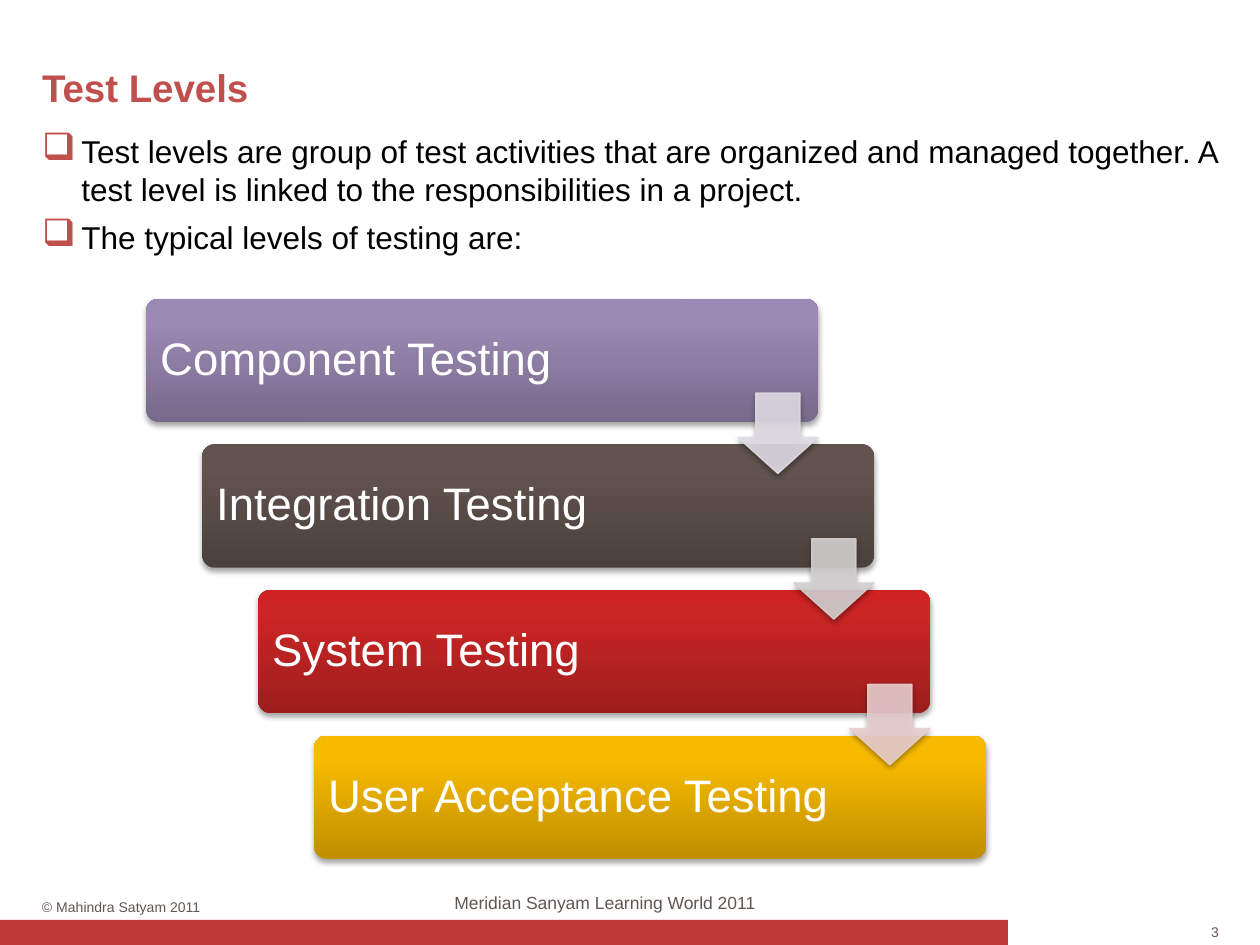
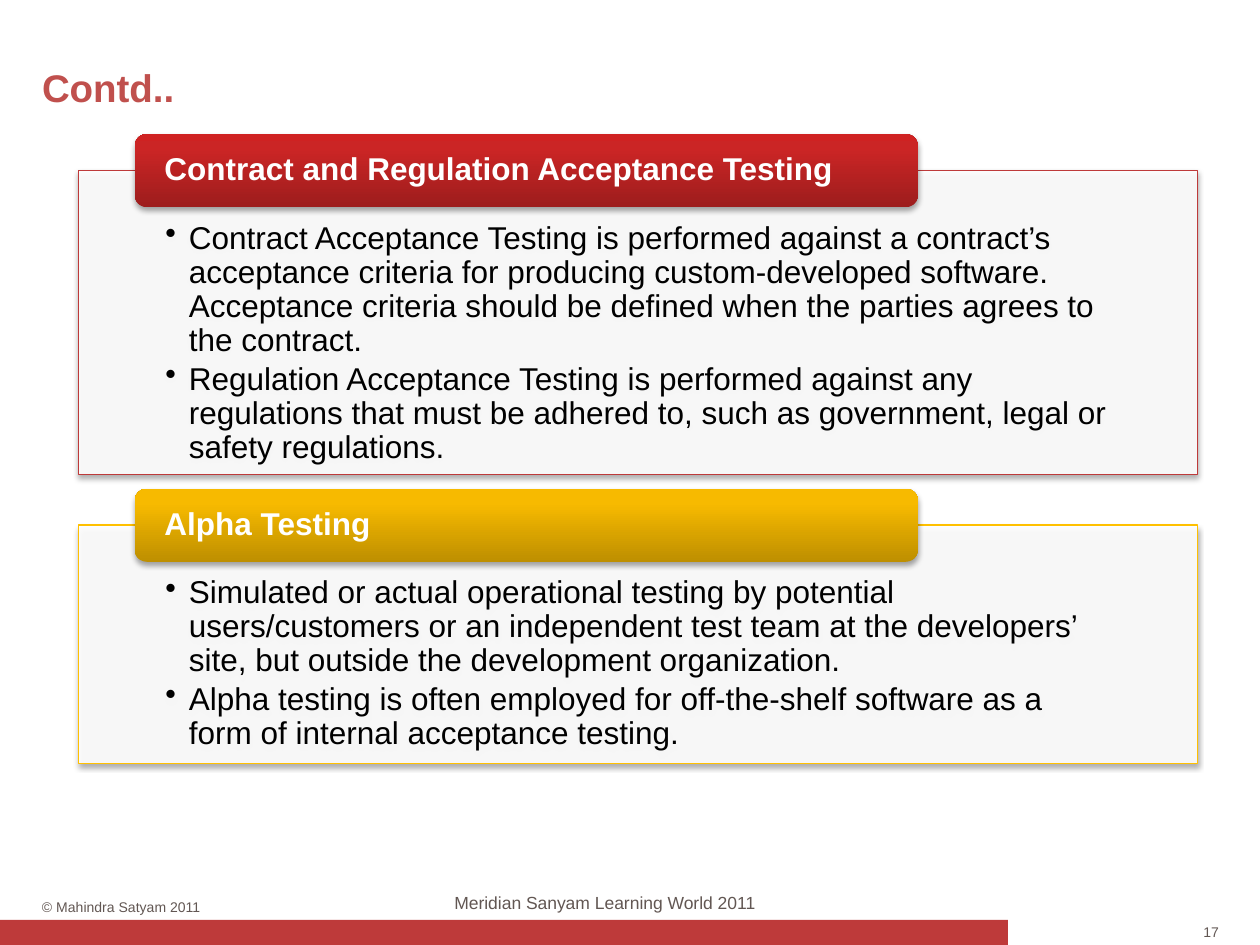
from lxml import etree
from pptx import Presentation
from pptx.dml.color import RGBColor
from pptx.enum.shapes import MSO_SHAPE
from pptx.enum.text import MSO_ANCHOR, MSO_AUTO_SIZE, PP_ALIGN
from pptx.oxml.ns import qn
from pptx.util import Pt

RECT, ROUND, DOWN = MSO_SHAPE.RECTANGLE, MSO_SHAPE.ROUNDED_RECTANGLE, MSO_SHAPE.DOWN_ARROW
TOP, MIDDLE = MSO_ANCHOR.TOP, MSO_ANCHOR.MIDDLE
LEFT, CENTER, RIGHT = PP_ALIGN.LEFT, PP_ALIGN.CENTER, PP_ALIGN.RIGHT
NO_FIT = MSO_AUTO_SIZE.NONE

FONT = "Arial"
BRICK, ROSE, GOLD = "BE3A3A", "C0504D", "FFC000"
GREY, BLACK, WHITE = "625753", "000000", "FFFFFF"
PURPLE_GRAD = ("77698A", "9A89B3", "9B88B5")
BROWN_GRAD = ("4B403C", "61534E", "62534E")
RED_GRAD = ("9D1D1D", "CB2525", "CF2222")
GOLD_GRAD = ("BE8F00", "F7BA00", "F8BB00")
GRAD_STOPS = (0, 80, 100)
MARGIN, CONTENT_W = 24, 672


def rgb(value):
    return RGBColor.from_string(value)


def add_xml(parent, tag, **attrs):
    return etree.SubElement(parent, qn(tag), {k: str(v) for k, v in attrs.items()})


def add_color(parent, value):
    return add_xml(parent, "a:srgbClr", val=value)


class Deck:
    def __init__(self):
        self.prs = Presentation()
        self.prs.slide_width, self.prs.slide_height = Pt(720), Pt(540)
        self.s = None

    def new_slide(self, title, number):
        self.s = self.prs.slides.add_slide(self.prs.slide_layouts[5])
        self.shape(RECT, 0, 525.6, 576, 14.4, BRICK)
        self.text(686.5, 528, 10, 9.5, [number], 8, GREY, align=RIGHT, anchor=MIDDLE, wrap=False)
        self.text(MARGIN, 513.2, 111, 9.5, ["© Mahindra Satyam 2011"], 8, GREY)
        self.text(190, 509.8, 311, 12, ["Meridian Sanyam Learning World 2011"], 10, GREY, align=CENTER)
        sp = self.s.shapes.title
        self.place(sp, MARGIN, 36.8, CONTENT_W, 26.6)
        self.set_text(sp, [title], 22, ROSE, bold=True)

    def place(self, sp, x, y, w, h):
        sp.left, sp.top, sp.width, sp.height = Pt(x), Pt(y), Pt(w), Pt(h)

    def set_text(self, sp, lines, size, color, bold=False, align=LEFT, anchor=TOP,
                 insets=(0, 0, 0, 0), wrap=True, spacing=None, after=0, bullet=None):
        tf = sp.text_frame
        tf.auto_size, tf.word_wrap, tf.vertical_anchor = NO_FIT, wrap, anchor
        tf.margin_left, tf.margin_top, tf.margin_right, tf.margin_bottom = map(Pt, insets)
        tf.text = "\n".join(lines)
        for p in tf.paragraphs:
            p.alignment, p.space_after = align, Pt(after)
            if spacing:
                p.line_spacing = spacing
            if bullet:
                self.bullet(p, *bullet)
            for r in p.runs:
                r.font.name, r.font.size, r.font.bold = FONT, Pt(size), bold
                r.font.color.rgb = rgb(color)

    def bullet(self, p, char, indent, color, percent):
        pPr = p._p.get_or_add_pPr()
        pPr.set("marL", str(Pt(indent)))
        pPr.set("indent", str(-Pt(indent)))
        add_color(add_xml(pPr, "a:buClr"), color)
        add_xml(pPr, "a:buSzPct", val=percent * 1000)
        add_xml(pPr, "a:buChar", char=char)

    def text(self, x, y, w, h, lines, size, color, **style):
        sp = self.s.shapes.add_textbox(Pt(x), Pt(y), Pt(w), Pt(h))
        self.set_text(sp, lines, size, color, **style)

    def shape(self, kind, x, y, w, h, fill, line=None, alpha=None, adj=(), shadow=False):
        sp = self.s.shapes.add_shape(kind, Pt(x), Pt(y), Pt(w), Pt(h))
        for i, value in enumerate(adj):
            sp.adjustments[i] = value
        if isinstance(fill, tuple):
            self.gradient(sp, fill)
        else:
            sp.fill.solid()
            sp.fill.fore_color.rgb = rgb(fill)
        if line:
            sp.line.color.rgb = rgb(line)
            sp.line.width = Pt(0.75)
        else:
            sp.line.fill.background()
        if alpha:
            for color in sp._element.spPr.iter(qn("a:srgbClr")):
                if color.get("val") == fill:
                    add_xml(color, "a:alpha", val=alpha * 1000)
        sp.shadow.inherit = False
        if shadow:
            self.drop_shadow(sp)
        return sp

    def gradient(self, sp, colors):
        sp.fill.gradient()
        grad = sp._element.spPr.find(qn("a:gradFill"))
        for child in list(grad):
            grad.remove(child)
        stops = add_xml(grad, "a:gsLst")
        for position, color in zip(GRAD_STOPS, colors):
            add_color(add_xml(stops, "a:gs", pos=position * 1000), color)
        add_xml(grad, "a:lin", ang=270 * 60000, scaled=0)

    def drop_shadow(self, sp):
        effects = sp._element.spPr.find(qn("a:effectLst"))
        shadow = add_xml(effects, "a:outerShdw", blurRad=Pt(3.1), dist=Pt(1.8),
                         dir=90 * 60000, rotWithShape=0)
        add_xml(add_color(shadow, BLACK), "a:alpha", val=35000)

    def step(self, x, y, w, h, label, colors):
        sp = self.shape(ROUND, x, y, w, h, colors, adj=(0.1,), shadow=True)
        self.set_text(sp, [label], 26, WHITE, anchor=MIDDLE, insets=(6, 6, 6, 6), spacing=0.9)

    def arrow(self, x, y, size, color):
        self.shape(DOWN, x, y, size, size, color, line=color, alpha=90, adj=(0.55, 0.45), shadow=True)

    def panel(self, y, h, heading, lines, colors, line):
        x = 44.8
        sp = self.shape(RECT, x, y, 639.4, h, WHITE, line=line, alpha=90, shadow=True)
        self.set_text(sp, lines, 18, BLACK, insets=(49.7, 29.5, 49.7, 10), spacing=0.9,
                      after=2.7, bullet=("•", 13.5, BLACK, 100))
        sp = self.shape(ROUND, x + 32.2, y - 20.8, 447.6, 41.8, colors, shadow=True)
        self.set_text(sp, [heading], 18, WHITE, bold=True, anchor=MIDDLE,
                      insets=(15, 0, 15, 0), spacing=0.9)


def test_levels(deck):
    deck.new_slide("Test Levels", "3")
    deck.text(MARGIN, 75.6, CONTENT_W, 71.3, [
        "Test levels are group of test activities that are organized and managed together. "
        "A test level is linked to the responsibilities in a project.",
        "The typical levels of testing are:",
    ], 18, BLACK, after=6, bullet=("❑", 22.5, ROSE, 120))
    levels = [
        ("Component Testing", PURPLE_GRAD),
        ("Integration Testing", BROWN_GRAD),
        ("System Testing", RED_GRAD),
        ("User Acceptance Testing", GOLD_GRAD),
    ]
    x, y, w, h, dx, dy, size = 83.5, 170.8, 384, 70.4, 32, 83.2, 46
    for i, (label, colors) in enumerate(levels):
        deck.step(x + i * dx, y + i * dy, w, h, label, colors)
    for i, color in enumerate(("DFDCE5", "D3D1D1", "E8CECE")):
        deck.arrow(x + w - size + i * dx, y + 53.8 + i * dy, size, color)


def acceptance_kinds(deck):
    deck.new_slide("Contd..", "17")
    deck.panel(97.4, 174, "Contract and Regulation Acceptance Testing", [
        "Contract Acceptance Testing is performed against a contract’s acceptance criteria for "
        "producing custom-developed software. Acceptance criteria should be defined when the "
        "parties agrees to the contract.",
        "Regulation Acceptance Testing is performed against any regulations that must be adhered "
        "to, such as government, legal or safety regulations.",
    ], RED_GRAD, BRICK)
    deck.panel(300, 136.2, "Alpha Testing", [
        "Simulated or actual operational testing by potential users/customers or an independent "
        "test team at the developers’ site, but outside the development organization.",
        "Alpha testing is often employed for off-the-shelf software as a form of internal "
        "acceptance testing.",
    ], GOLD_GRAD, GOLD)


def main():
    deck = Deck()
    test_levels(deck)
    acceptance_kinds(deck)
    deck.prs.save("out.pptx")


if __name__ == "__main__":
    main()
